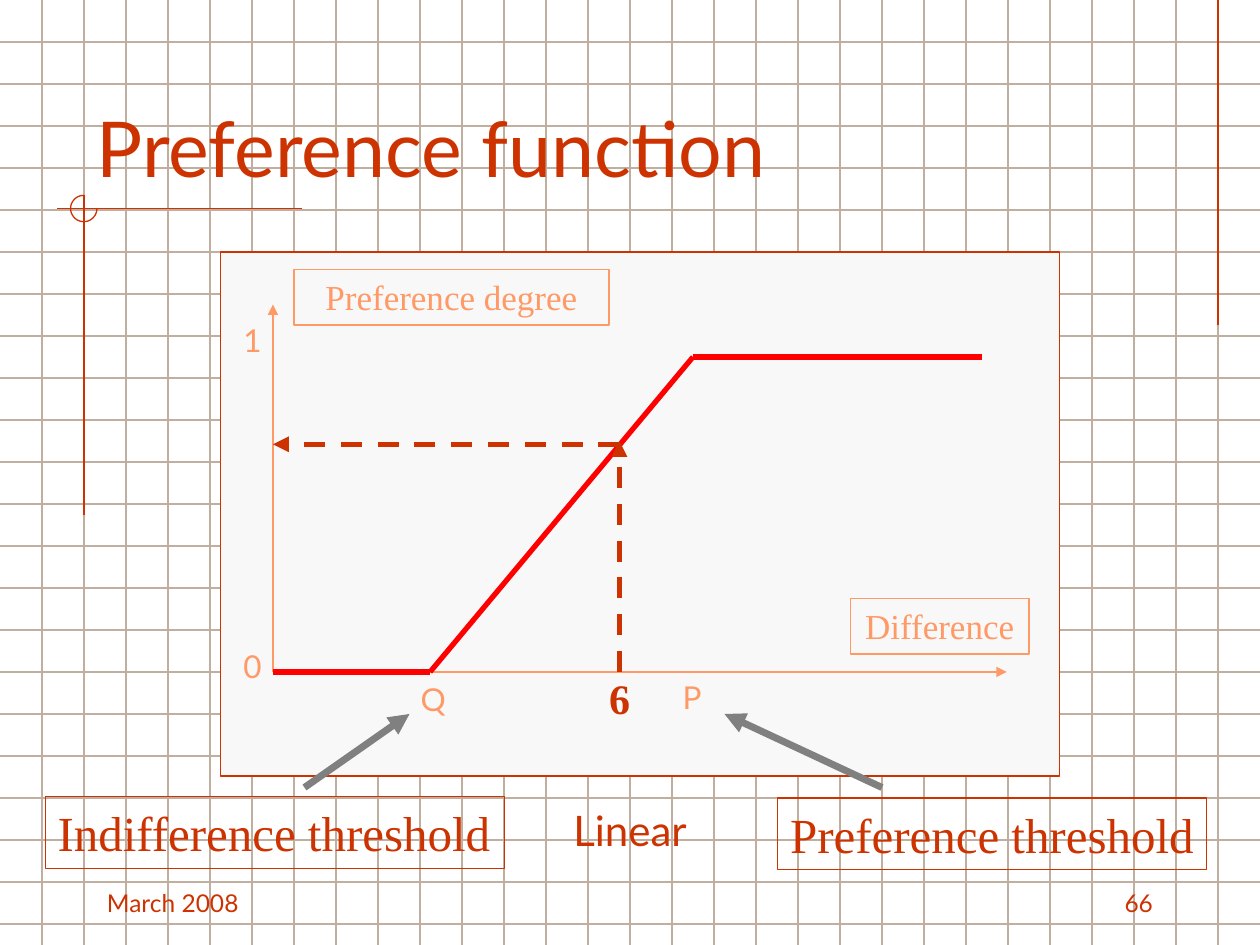
"""Build a slide on a linear preference function, laid out on a 30-column grid."""
from lxml import etree
from pptx import Presentation, util as u
from pptx.dml.color import RGBColor
from pptx.enum import dml, shapes, text
from pptx.oxml.ns import qn

COLS, ROWS = 30, 22.5
CELL = u.Inches(10) / COLS
COLORS = {
    "grid": "C0AE9E", "main": "CC3300", "soft": "FF9966",
    "curve": "FF0000", "pointer": "808080", "panel": "F8F8F8",
}
SANS, SERIF = "Lato", "Times New Roman"
ALIGN, ANCHOR, FIT = text.PP_ALIGN, text.MSO_ANCHOR, text.MSO_AUTO_SIZE


def cells(*values):
    """Turn grid columns or rows into lengths."""
    return [u.Emu(round(v * CELL)) for v in values]


def rgb(name):
    """Return a palette colour."""
    return RGBColor.from_string(COLORS[name])


def set_text(sp, words, size=18, font=SANS, color="main", bold=False,
             align=ALIGN.LEFT, anchor=ANCHOR.TOP, wrap=True, fit=FIT.SHAPE_TO_FIT_TEXT):
    """Write one formatted paragraph into a shape."""
    tf = sp.text_frame
    tf.word_wrap, tf.auto_size, tf.vertical_anchor = wrap, fit, anchor
    p = tf.paragraphs[0]
    p.alignment = align
    r = p.add_run()
    r.text = words
    r.font.size, r.font.name, r.font.bold = u.Pt(size), font, bold
    r.font.color.rgb = rgb(color)


def add_label(s, box, words, **fmt):
    """Add a plain text box."""
    set_text(s.shapes.add_textbox(*cells(*box)), words, **fmt)


def add_outline(s, box, color, kind=shapes.MSO_SHAPE.RECTANGLE, fill=None, width=0.75):
    """Add an outlined preset shape."""
    sp = s.shapes.add_shape(kind, *cells(*box))
    sp.shadow.inherit = False
    if fill:
        sp.fill.solid()
        sp.fill.fore_color.rgb = rgb(fill)
    else:
        sp.fill.background()
    sp.line.color.rgb, sp.line.width = rgb(color), u.Pt(width)
    return sp


def add_line(s, start, end, color, width=0.75, dash=False, arrow=False):
    """Add a straight line, with an optional arrowhead at its end."""
    cx = s.shapes.add_connector(shapes.MSO_CONNECTOR.STRAIGHT, *cells(*start, *end))
    cx.line.color.rgb, cx.line.width = rgb(color), u.Pt(width)
    if dash:
        cx.line.dash_style = dml.MSO_LINE.DASH
    if arrow:
        etree.SubElement(cx.line._get_or_add_ln(), qn("a:tailEnd"), type="triangle")
    etree.SubElement(cx.element.spPr, qn("a:effectLst"))


def add_background(s):
    """Draw the squared paper and the corner ornaments."""
    for row in range(1, int(ROWS) + 1):
        add_line(s, (0, row), (COLS, row), "grid")
    for col in range(1, COLS):
        add_line(s, (col, 0), (col, ROWS), "grid")
    add_line(s, (29, 0), (29, 7.75), "main")
    add_line(s, (7.2, 4.97), (1.35, 4.97), "main")
    add_line(s, (2, 4.65), (2, 12.27), "main")
    arc = add_outline(s, (1.68, 4.65, 0.63, 0.63), "main", kind=shapes.MSO_SHAPE.ARC)
    arc.adjustments[0], arc.adjustments[1] = 0, 162


def add_title(s, words):
    """Place the title above the background."""
    sp = s.shapes.title
    sp.element.getparent().append(sp.element)
    sp.left, sp.top, sp.width, sp.height = cells(2, 1, 25.5, 3.75)
    set_text(sp, words, size=44, anchor=ANCHOR.BOTTOM, fit=FIT.NONE)


def add_graph(s):
    """Draw the panel, axes, curve and dashed reading of the value."""
    left, base, top, q, p, value = 6.5, 16, 8.5, 10.24, 16.5, 14.75
    add_outline(s, (5.25, 6, 19.98, 12.48), "main", fill="panel", width=1)
    for end in ((23.97, base), (left, 7.25)):
        add_line(s, (left, base), end, "soft", arrow=True)
    curve = [(left, base), (q, base), (p, top), (23.37, top)]
    for start, end in zip(curve, curve[1:]):
        add_line(s, start, end, "curve", width=3)
    for x, y, w, words in ((9.72, 16.05, 1.17, "Q"), (15.96, 16, 1.05, "P"),
                           (5.5, 15.25, 1.02, "0"), (5.5, 7.5, 1.02, "1")):
        add_label(s, (x, y, w, 1.2), words, color="soft", wrap=False)
    for box, words in (((7, 6.42, 7.5, 1.32), "Preference degree"),
                       ((20.25, 14.25, 4.25, 1.32), "Difference")):
        set_text(add_outline(s, box, "soft"), words, size=20, font=SERIF,
                 color="soft", align=ALIGN.CENTER)
    for start, end in (((value, base), (value, 10.5)), ((value, 10.58), (left, 10.58))):
        add_line(s, start, end, "main", width=3, dash=True, arrow=True)
    add_label(s, (14.21, 15.87, 1.08, 1.5), "6", size=24, font=SERIF, bold=True, wrap=False)


def add_thresholds(s):
    """Name both thresholds and point from each name to its mark."""
    for box, words, start, end in (
            ((1.08, 18.97, 10.93, 1.71), "Indifference threshold", (7.25, 18.75), (9.75, 17)),
            ((18.52, 19, 10.21, 1.71), "Preference threshold", (21, 18.75), (17.25, 17))):
        set_text(add_outline(s, box, "main"), words, size=28, font=SERIF, wrap=False)
        add_line(s, start, end, "pointer", width=4, arrow=True)
    add_label(s, (11.25, 19, 7.5, 1.5), "Linear", size=24, align=ALIGN.CENTER)


def add_footer(s):
    """Write the date and the page number."""
    for x, words, align in ((2.25, "March 2008", ALIGN.LEFT), (21.5, "66", ALIGN.RIGHT)):
        add_label(s, (x, 20.5, 6.25, 1.5), words, size=14, align=align,
                  anchor=ANCHOR.BOTTOM, fit=FIT.NONE)


def main():
    """Build and save the slide."""
    prs = Presentation()
    prs.slide_width, prs.slide_height = cells(COLS, ROWS)
    s = prs.slides.add_slide(prs.slide_layouts[5])
    add_background(s)
    add_footer(s)
    add_title(s, "Preference function")
    add_graph(s)
    add_thresholds(s)
    prs.save("out.pptx")


if __name__ == "__main__":
    main()
